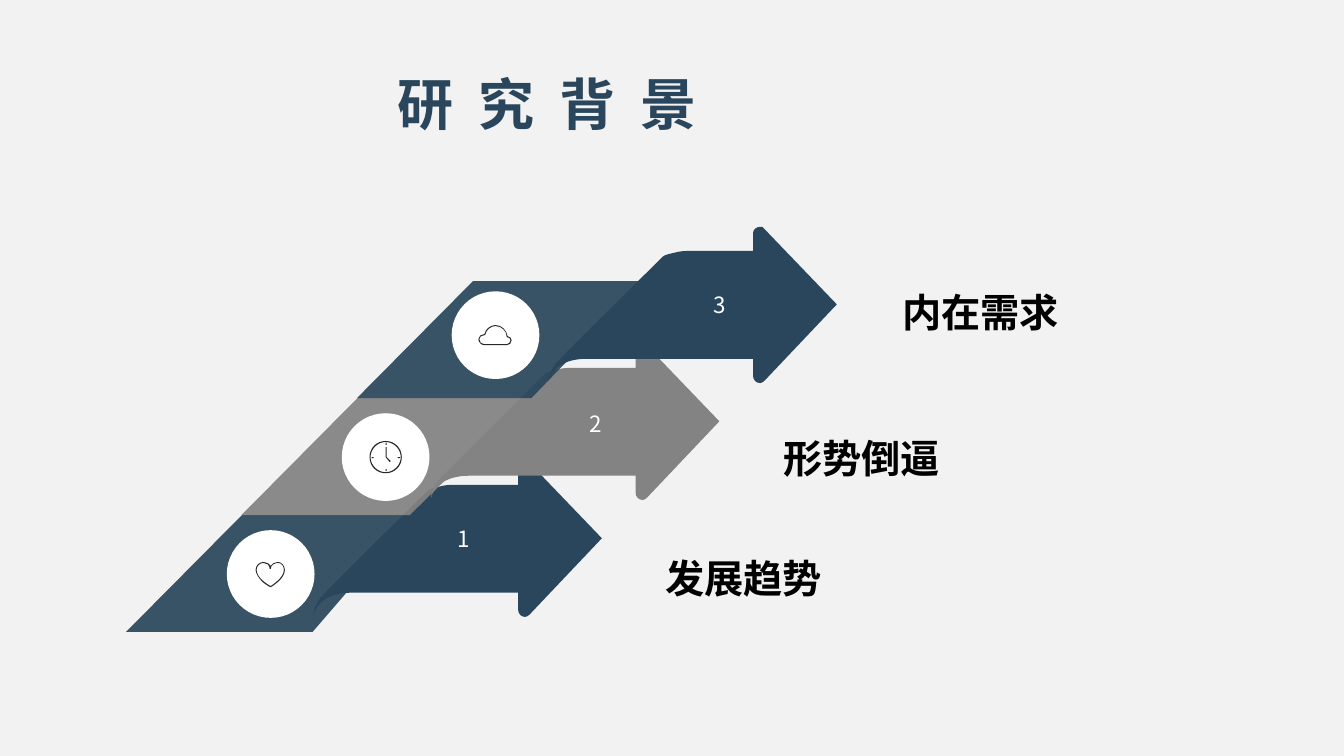
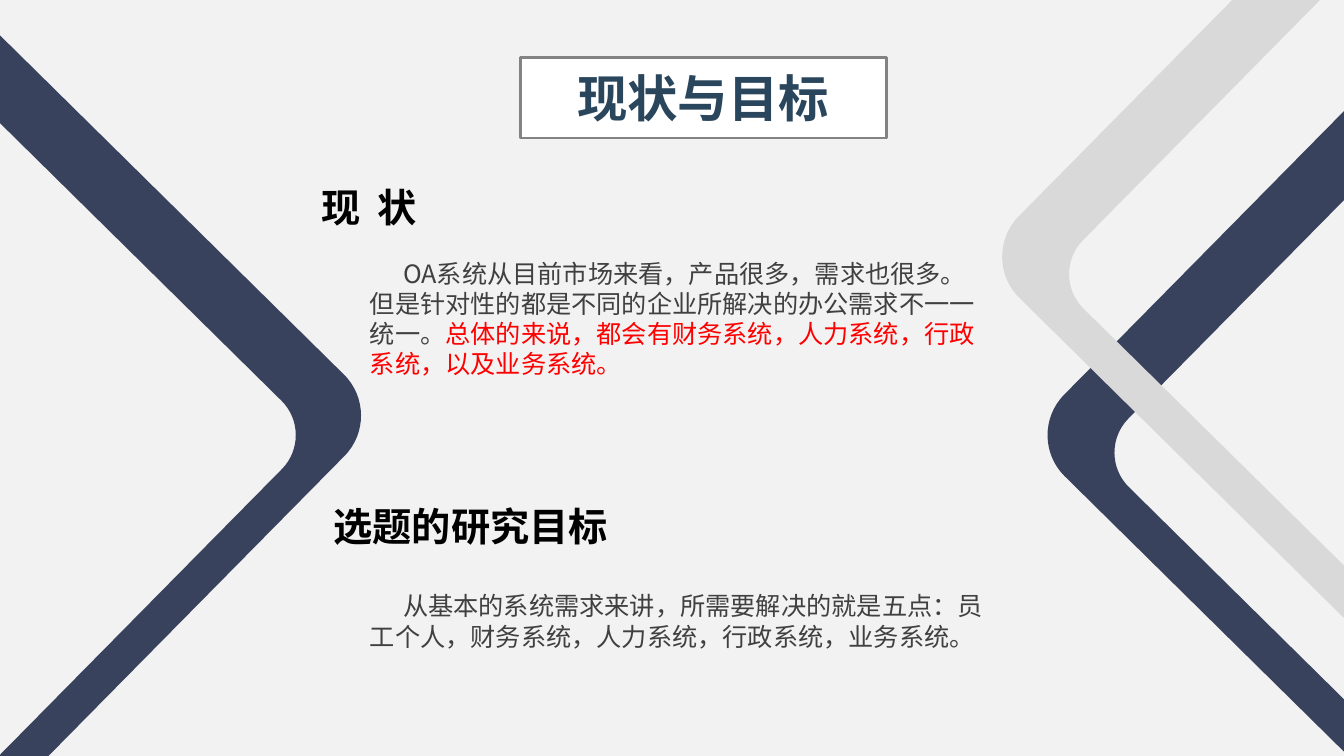
from lxml.etree import SubElement
from pptx import Presentation
from pptx.dml.color import RGBColor
from pptx.enum.shapes import MSO_SHAPE as Preset
from pptx.enum.text import MSO_ANCHOR as Anchor, PP_ALIGN as Align
from pptx.oxml.ns import qn
from pptx.util import Inches, Pt

# Shared look
WIDTH, HEIGHT = 13.33, 7.5
FONT = "Noto Sans CJK SC"
NAVY, GRAY, WHITE, BLACK = "2A465C", "838383", "FFFFFF", "000000"
BAND_NAVY, BAND_GRAY = "39425D", "D9D9D9"
PAPER, ICON_INK, BODY_INK, RED = "F2F2F2", "282828", "404040", "FF0000"
TITLE = {"size": Pt(40), "bold": True}
FRAMED_TITLE = {"size": Pt(36), "bold": True}
HEADING = {"size": Pt(28), "bold": True}
BODY = {"size": Pt(18)}
NUMBER = {"size": Pt(16)}

# Outlines: M starts a contour, L is a line, C a curve, Z closes
ARROW = """M 2.1 1.55 C 2.11 1.55 2.13 1.54 2.14 1.53 L 2.86 .77 L 2.14 .02
C 2.13 0 2.12 0 2.1 0 C 2.06 0 2.03 .03 2.03 .06 L 2.03 .24 L 1.4 .24
C 1.36 .24 1.3 .24 1.24 .26 C 1.19 .27 1.14 .28 1.12 .31
C 1.11 .32 .11 1.31 .07 1.36 C .03 1.41 0 1.48 0 1.53
C .02 1.45 .07 1.4 .14 1.36 C .2 1.33 .28 1.31 .37 1.31
L 2.03 1.31 L 2.03 1.48 C 2.03 1.52 2.06 1.55 2.1 1.55 Z"""
HEART = """M 0 .12 C -.02 .11 -.14 .04 -.14 -.04 C -.14 -.08 -.11 -.11 -.07 -.11
C -.04 -.11 -.01 -.09 -.01 -.05 L 0 -.05 C 0 -.09 .04 -.11 .07 -.11
C .11 -.11 .13 -.08 .13 -.04 C .13 .04 .01 .11 0 .12 Z
M .07 -.12 C .04 -.12 .01 -.1 0 -.08 C -.01 -.1 -.04 -.12 -.07 -.12
C -.12 -.12 -.15 -.08 -.15 -.04 C -.15 -.01 -.12 .04 -.08 .08
C -.04 .11 -.01 .13 0 .13 C .01 .13 .03 .11 .07 .08
C .12 .04 .14 -.01 .14 -.04 C .14 -.08 .11 -.12 .07 -.12 Z"""
CLOCK = """M 0 -.16 C .09 -.16 .16 -.09 .16 0 C .16 .09 .09 .16 0 .16
C -.09 .16 -.16 .09 -.16 0 C -.16 -.09 -.09 -.16 0 -.16 Z
M 0 -.15 C .08 -.15 .15 -.08 .15 0 C .15 .08 .08 .15 0 .15
C -.08 .15 -.15 .08 -.15 0 C -.15 -.08 -.08 -.15 0 -.15 Z
M 0 -.1 L 0 0 L .04 .05 L .05 .04 L .01 0 L .01 -.1 Z
M 0 -.14 L 0 -.12 L .01 -.12 L .01 -.14 Z M 0 .12 L 0 .14 L .01 .14 L .01 .12 Z
M -.14 0 L -.14 .01 L -.12 .01 L -.12 0 Z M .12 0 L .12 .01 L .14 .01 L .14 0 Z"""
CLOUD = """M .11 .09 L -.11 .09 C -.14 .09 -.16 .07 -.16 .04 C -.16 .02 -.14 0 -.11 0
L -.1 0 L -.1 -.01 C -.09 -.05 -.05 -.09 0 -.09 C .06 -.09 .11 -.04 .11 .01
L .11 .02 C .13 .02 .15 .03 .15 .05 C .15 .07 .13 .09 .11 .09 Z
M .12 .01 C .11 -.05 .06 -.1 0 -.1 C -.05 -.1 -.1 -.06 -.11 -.01
C -.14 -.01 -.17 .01 -.17 .04 C -.17 .07 -.14 .1 -.11 .1
L .11 .1 C .14 .1 .16 .08 .16 .05 C .16 .03 .14 .01 .12 .01 Z"""


def rounded(left, top, right, bottom, radius):
    """Outline of a rectangle with round corners."""
    pull = 0.45 * radius
    return (f"M {left + radius} {top} L {right - radius} {top} "
            f"C {right - pull} {top} {right} {top + pull} {right} {top + radius} "
            f"L {right} {bottom - radius} "
            f"C {right} {bottom - pull} {right - pull} {bottom} {right - radius} {bottom} "
            f"L {left + radius} {bottom} "
            f"C {left + pull} {bottom} {left} {bottom - pull} {left} {bottom - radius} "
            f"L {left} {top + radius} "
            f"C {left} {top + pull} {left + pull} {top} {left + radius} {top} Z ")


BAND = rounded(0, 0, 6.65, 8.9, 0.57) + rounded(0.62, 0.62, 6.3, 8.53, 0.48)


def color(value):
    return RGBColor.from_string(value)


def paint(shape, fill, line=None, alpha=None):
    shape.shadow.inherit = False
    shape.fill.solid()
    shape.fill.fore_color.rgb = color(fill)
    if alpha:
        tone = shape.fill._xPr.find(qn("a:solidFill"))[0]
        SubElement(tone, qn("a:alpha"), val=str(alpha * 1000))
    if line:
        shape.line.color.rgb = color(line)
        shape.line.width = Pt(2)
    else:
        shape.line.fill.background()


def contours(outline):
    """Points of each contour, and the command of each later segment."""
    result, commands, tokens = [], [], iter(outline.split())
    for command in tokens:
        if command == "Z":
            continue
        count = 3 if command == "C" else 1
        points = [(float(next(tokens)), float(next(tokens))) for _ in range(count)]
        if command == "M":
            result.append(points)
        else:
            result[-1] += points
            commands.append(command)
    return result, commands


def bend(shape, commands):
    """Join three straight segments into one curve wherever C asks for it."""
    segments = iter(list(shape._element.iter(qn("a:lnTo"))))
    for command in commands:
        segment = next(segments)
        if command == "C":
            segment.tag = qn("a:cubicBezTo")
            for follower in (next(segments), next(segments)):
                segment.append(follower[0])
                follower.getparent().remove(follower)


def add_outline(shapes, outline, left, top, fill, alpha=None):
    builder = None
    point_lists, commands = contours(outline)
    for points in point_lists:
        start, *rest = [(Inches(left + x), Inches(top + y)) for x, y in points]
        if builder is None:
            builder = shapes.build_freeform(*start)
        else:
            builder.move_to(*start)
        builder.add_line_segments(rest, close=True)
    shape = builder.convert_to_shape()
    bend(shape, commands)
    paint(shape, fill, alpha=alpha)
    return shape


def write(para, spans, style, tracking=0):
    """Fill a paragraph with (text, colour) spans."""
    for text, ink in spans:
        span = para.add_run()
        span.text = text
        for name, value in {"name": FONT, **style}.items():
            setattr(span.font, name, value)
        span.font.color.rgb = color(ink)
        properties = span._r.get_or_add_rPr()
        SubElement(properties, qn("a:ea"), typeface=FONT)
        if tracking:
            properties.set("spc", str(int(tracking * 100)))


def add_text(shapes, box, lines, style, insets=(0.1, 0.05), wrap=False,
             anchor=Anchor.TOP, align=Align.LEFT, spacing=None, tracking=0, indent=0):
    frame = shapes.add_textbox(*map(Inches, box)).text_frame
    across, down = map(Inches, insets)
    layout = {"word_wrap": wrap, "vertical_anchor": anchor,
              "margin_left": across, "margin_right": across,
              "margin_top": down, "margin_bottom": down}
    for name, value in layout.items():
        setattr(frame, name, value)
    for number, spans in enumerate(lines):
        para = frame.add_paragraph() if number else frame.paragraphs[0]
        para.alignment = align
        para.line_spacing = spacing
        if indent and not number:
            para._p.get_or_add_pPr().set("indent", str(Inches(indent)))
        write(para, spans, style, tracking)


def add_paper(page):
    paper = page.shapes.add_shape(Preset.RECTANGLE, 0, 0, Inches(WIDTH), Inches(HEIGHT))
    paint(paper, PAPER)


# One step of the staircase: panel, arrow, number and icon disc
def add_step(page, index, fill, foot, number_at, disc_at, icon):
    shapes = page.shapes.add_group_shape().shapes
    left, top = 1.25 + 1.145 * index, 5.11 - 1.16 * index
    panel = f"M 2.85 0 L 1.15 0 L 0 1.16 L {foot} 1.16 Z"
    add_outline(shapes, panel, left, top, fill, alpha=93)
    add_outline(shapes, ARROW, 3.11 + 1.165 * index, 4.57 - 1.16 * index, fill)
    add_text(shapes, (*number_at, 0.53, 0.38), [[(str(index + 1), WHITE)]], NUMBER,
             insets=(0.04, 0.04), wrap=True, anchor=Anchor.MIDDLE, align=Align.CENTER)
    size = 0.87
    disc = shapes.add_shape(Preset.OVAL, *map(Inches, (*disc_at, size, size)))
    paint(disc, WHITE)
    add_outline(shapes, icon, disc_at[0] + size / 2, disc_at[1] + size / 2, ICON_INK)


def background_slide(page):
    steps = [(NAVY, 1.85, (4.33, 5.15), (2.25, 5.26), HEART),
             (GRAY, 1.67, (5.64, 4.01), (3.39, 4.1), CLOCK),
             (NAVY, 1.73, (6.87, 2.83), (4.48, 2.89), CLOUD)]
    for index, step in enumerate(steps):
        add_step(page, index, *step)
    # Labels beside the arrow tips
    labels = [("内在需求", (8.95, 2.77, 1.74, 0.64)),
              ("形势倒逼", (7.77, 4.22, 2.01, 0.62)),
              ("发展趋势", (6.6, 5.41, 2.44, 0.59))]
    for text, box in labels:
        add_text(page.shapes, box, [[(text, BLACK)]], HEADING, insets=(0, 0), spacing=1.2)
    # Title
    add_text(page.shapes, (3.69, 0.4, 5.25, 1.24), [[("研 究 背 景", NAVY)]], TITLE,
             insets=(0, 0.05), wrap=True, anchor=Anchor.MIDDLE, tracking=4.5, indent=0.25)


# A heading with its indented text
def add_section(page, heading_box, heading, body_box, lines, tracking=0):
    add_text(page.shapes, heading_box, [[(heading, BLACK)]], HEADING, tracking=tracking)
    add_text(page.shapes, body_box, lines, BODY, wrap=True, indent=0.33)


def goals_slide(page):
    # Corner bands
    for left, top, fill in [(-5, 0.5, BAND_NAVY), (12.32, -0.96, BAND_NAVY),
                            (11.87, -2.73, BAND_GRAY)]:
        add_outline(page.shapes, BAND, left, top, fill).rotation = 44.6
    # Framed title
    plate = page.shapes.add_shape(Preset.RECTANGLE, *map(Inches, (5.16, 0.57, 3.63, 0.8)))
    paint(plate, WHITE, GRAY)
    plate.text_frame.vertical_anchor = Anchor.MIDDLE
    para = plate.text_frame.paragraphs[0]
    para.alignment = Align.CENTER
    write(para, [("现状与目标", NAVY)], FRAMED_TITLE)
    # Sections
    add_section(page, (3.09, 1.77, 1.21, 0.57), "现 状", (3.57, 2.51, 6.27, 1.31), [
        [("OA系统从目前市场来看，产品很多，需求也很多。", BODY_INK)],
        [("但是针对性的都是不同的企业所解决的办公需求不一一", BODY_INK)],
        [("统一。", BODY_INK), ("总体的来说，都会有财务系统，人力系统，行政", RED)],
        [("系统，以及业务系统。", RED)]], tracking=3)
    add_section(page, (3.21, 4.93, 2.92, 0.57), "选题的研究目标", (3.57, 5.81, 6.4, 0.71), [
        [("从基本的系统需求来讲，所需要解决的就是五点：员", BODY_INK)],
        [("工个人，财务系统，人力系统，行政系统，业务系统。", BODY_INK)]])


deck = Presentation()
deck.slide_width, deck.slide_height = Inches(WIDTH), Inches(HEIGHT)
for build in (background_slide, goals_slide):
    page = deck.slides.add_slide(deck.slide_layouts[6])
    add_paper(page)
    build(page)
deck.save("out.pptx")
